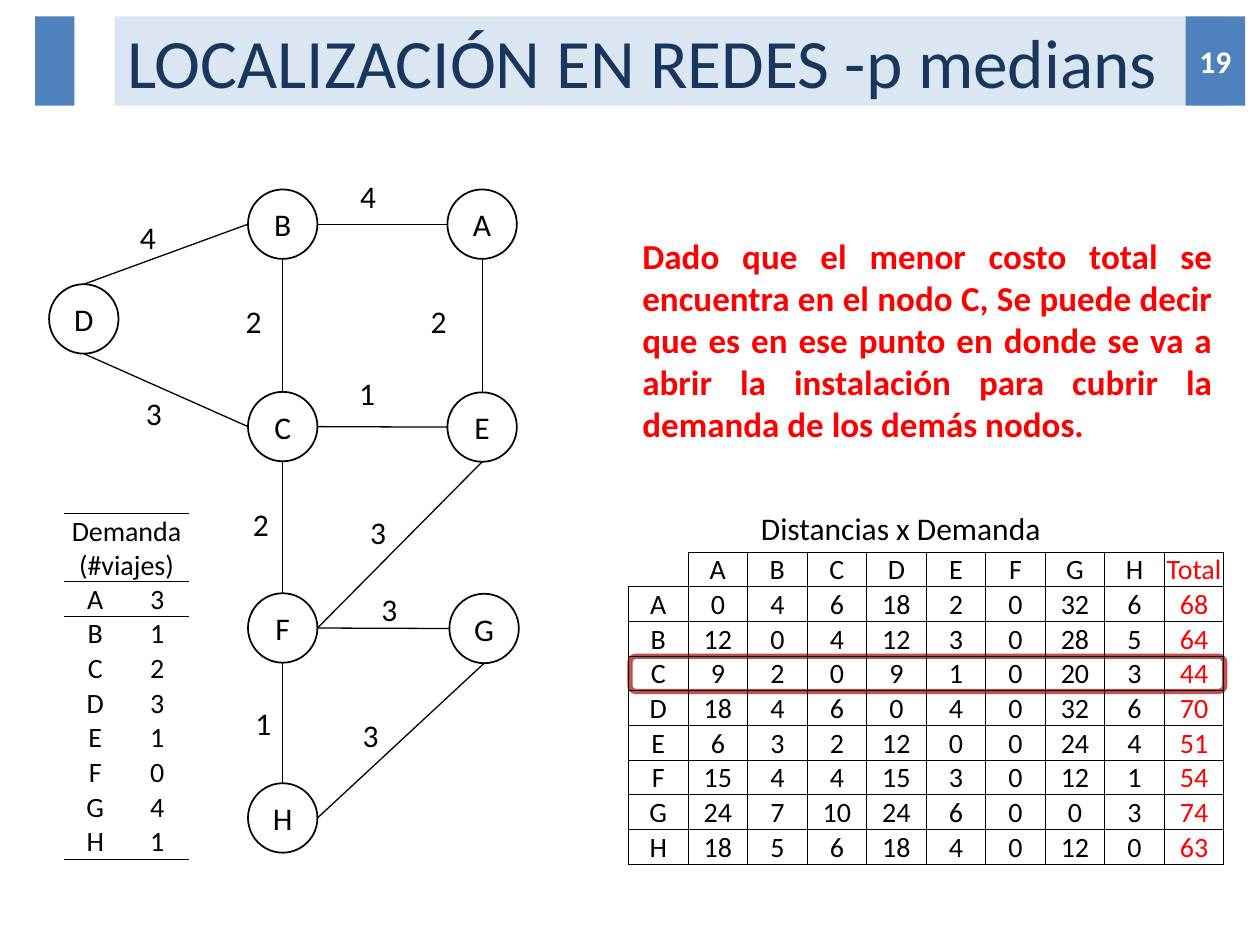
from lxml import etree
from pptx import Presentation
from pptx.dml.color import RGBColor
from pptx.enum.shapes import MSO_CONNECTOR, MSO_SHAPE
from pptx.enum.text import MSO_ANCHOR, PP_ALIGN
from pptx.oxml.ns import qn
from pptx.util import Cm, Pt

RECT, ROUND, OVAL = MSO_SHAPE.RECTANGLE, MSO_SHAPE.ROUNDED_RECTANGLE, MSO_SHAPE.OVAL
LINE = MSO_CONNECTOR.STRAIGHT
LEFT, MID, JUST = PP_ALIGN.LEFT, PP_ALIGN.CENTER, PP_ALIGN.JUSTIFY
TOP, HALF, LOW = MSO_ANCHOR.TOP, MSO_ANCHOR.MIDDLE, MSO_ANCHOR.BOTTOM
PLAIN = "{2D5ABB26-0587-4C30-8999-92F81FD0307C}"  # table style without grid
COLORS = {"ink": "000000", "red": "FF0000", "white": "FFFFFF", "blue": "4F81BD",
          "pale": "DCE6F2", "navy": "17375E", "brick": "C0504D"}

# Network: node centres, edges with their end sides, weight and label place
SIZE = 1.4
NODES = {"D": (1.69, 6.43), "C": (5.7, 8.6), "F": (5.7, 12.66), "H": (5.7, 16.49),
         "B": (5.7, 4.52), "A": (9.72, 4.52), "E": (9.72, 8.61), "G": (9.76, 12.67)}
SIDES = {"top": (0, -1), "low": (0, 1), "left": (-1, 0), "right": (1, 0)}
EDGES = [
    ("D", "top", "B", "left", "4", 2.57, 4.27),
    ("D", "low", "C", "left", "3", 2.69, 7.82),
    ("B", "right", "A", "left", "4", 7.01, 3.45),
    ("B", "low", "C", "top", "2", 4.7, 5.97),
    ("C", "right", "E", "left", "1", 6.99, 7.42),
    ("C", "low", "F", "top", "2", 4.85, 10.06),
    ("A", "low", "E", "top", "2", 8.43, 5.97),
    ("F", "right", "E", "low", "3", 7.21, 10.21),
    ("F", "right", "G", "left", "3", 7.44, 11.76),
    ("F", "low", "H", "top", "1", 4.9, 14.07),
    ("H", "right", "G", "low", "3", 7.06, 14.3),
]

# Table values
NAMES = "ABCDEFGH"
DEMAND = [3, 1, 2, 3, 1, 0, 4, 1]
COSTS = [
    [0, 4, 6, 18, 2, 0, 32, 6, 68],
    [12, 0, 4, 12, 3, 0, 28, 5, 64],
    [9, 2, 0, 9, 1, 0, 20, 3, 44],
    [18, 4, 6, 0, 4, 0, 32, 6, 70],
    [6, 3, 2, 12, 0, 0, 24, 4, 51],
    [15, 4, 4, 15, 3, 0, 12, 1, 54],
    [24, 7, 10, 24, 6, 0, 0, 3, 74],
    [18, 5, 6, 18, 4, 0, 12, 0, 63],
]


class Page:
    font = "Calibri"

    def __init__(self, slide):
        self.slide = slide
        self.shapes = slide.shapes

    def rgb(self, name):
        return RGBColor.from_string(COLORS[name])

    def add_run(self, frame, text, size=18, color="ink", bold=False, align=LEFT):
        para = frame.paragraphs[0]
        para.alignment = align
        run = para.add_run()
        run.text = text
        font = run.font
        font.name, font.size, font.bold = self.font, Pt(size), bold
        font.color.rgb = self.rgb(color)

    def paint(self, shape, fill):
        if fill:
            shape.fill.solid()
            shape.fill.fore_color.rgb = self.rgb(fill)
        else:
            shape.fill.background()

    def title(self, text, x, y, w, h):
        shape = self.shapes.title
        shape.left, shape.top, shape.width, shape.height = map(Cm, (x, y, w, h))
        self.paint(shape, "pale")
        shape.text_frame.vertical_anchor = HALF
        self.add_run(shape.text_frame, text, 39.6, "navy")

    def shape(self, kind, x, y, w, h, fill=None, line=None, width=1):
        shape = self.shapes.add_shape(kind, *map(Cm, (x, y, w, h)))
        shape.shadow.inherit = False
        self.paint(shape, fill)
        if line:
            shape.line.color.rgb = self.rgb(line)
            shape.line.width = Pt(width)
        else:
            shape.line.fill.background()
        return shape

    def badge(self, text, *place, color="ink", bold=False, **style):
        frame = self.shape(*place, **style).text_frame
        frame.vertical_anchor = HALF
        frame.margin_left = frame.margin_right = 0
        self.add_run(frame, text, color=color, bold=bold, align=MID)

    def text(self, text, x, y, w, h, fill=None, **style):
        box = self.shapes.add_textbox(*map(Cm, (x, y, w, h)))
        self.paint(box, fill)
        box.text_frame.word_wrap = True
        box.text_frame.vertical_anchor = TOP
        self.add_run(box.text_frame, text, **style)

    def line(self, start, end):
        line = self.shapes.add_connector(LINE, *map(Cm, start + end))
        line.line.color.rgb = self.rgb("ink")
        line.line.width = Pt(0.75)
        etree.SubElement(line._element.spPr, qn("a:effectLst"))

    def table(self, x, y, cols, rows):
        frame = self.shapes.add_table(len(rows), len(cols), Cm(x), Cm(y),
                                      Cm(sum(cols)), Cm(sum(rows)))
        grid = frame.table
        grid._tbl.tblPr.find(qn("a:tableStyleId")).text = PLAIN
        grid.first_row = grid.horz_banding = False
        for col, size in zip(grid.columns, cols):
            col.width = Cm(size)
        for row, size in zip(grid.rows, rows):
            row.height = Cm(size)
        return grid

    def cell(self, cell, text, edges="", color="ink", anchor=HALF):
        cell.margin_left = cell.margin_right = cell.margin_top = Cm(0.02)
        cell.margin_bottom = 0
        cell.vertical_anchor = anchor
        props = cell._tc.get_or_add_tcPr()
        for side in "LRTB":
            if side in edges:
                line = etree.SubElement(props, qn("a:ln" + side), w=str(Pt(0.5)))
                fill = etree.SubElement(line, qn("a:solidFill"))
                etree.SubElement(fill, qn("a:srgbClr"), val=COLORS["ink"])
        cell.fill.background()
        if text:
            self.add_run(cell.text_frame, text, 16, color, align=MID)
        else:
            end = cell.text_frame.paragraphs[0]._p.get_or_add_endParaRPr()
            end.set("sz", "1600")


def side(node, name):
    (x, y), (dx, dy) = NODES[node], SIDES[name]
    return x + dx * SIZE / 2, y + dy * SIZE / 2


def main():
    deck = Presentation()
    deck.slide_width, deck.slide_height = Cm(25.4), Cm(19.05)
    page = Page(deck.slides.add_slide(deck.slide_layouts[5]))

    # Header
    page.title("LOCALIZACIÓN EN REDES -p medians", 2.31, 0.33, 22.4, 1.8)
    page.shape(RECT, 0.71, 0.33, 0.79, 1.8, fill="blue")
    page.badge("19", RECT, 23.9, 0.33, 1.2, 1.8, fill="blue", color="white", bold=True)

    # Network
    for name, (x, y) in NODES.items():
        page.badge(name, OVAL, x - SIZE / 2, y - SIZE / 2, SIZE, SIZE, line="ink")
    for a, out, b, into, cost, x, y in EDGES:
        page.line(side(a, out), side(b, into))
        page.text(cost, x, y, 1.12, 1.02)

    # Cost table over the marked row
    page.shape(ROUND, 12.7, 13.23, 11.99, 0.71, fill="white", line="brick", width=3)
    grid = page.table(12.67, 11.13, [1.2] * 10, [0.7] * 9)
    rows = [["", *NAMES, "Total"]] + [[n, *c] for n, c in zip(NAMES, COSTS)]
    for i, row in enumerate(rows):
        for j, value in enumerate(row):
            page.cell(grid.cell(i, j), str(value), "LRTB" if i or j else "RB",
                      "red" if j == 9 else "ink")
    page.text("Distancias x Demanda", 15.09, 10.13, 8, 1.02)

    # Conclusion
    page.text("Dado que el menor costo total se encuentra en el nodo C, Se puede decir "
              "que es en ese punto en donde se va a abrir la instalación para cubrir la "
              "demanda de los demás nodos.", 12.7, 4.6, 11.99, 4.52, fill="white",
              size=20, color="red", bold=True, align=JUST)

    # Demand table
    grid = page.table(1.3, 10.35, [1.24, 1.26], [1.37] + [0.7] * 8)
    grid.cell(0, 0).merge(grid.cell(0, 1))
    page.cell(grid.cell(0, 0), "Demanda (#viajes)", "TB", anchor=LOW)
    page.cell(grid.cell(0, 1), "", "TB", anchor=LOW)
    for i, pair in enumerate(zip(NAMES, DEMAND), 1):
        edges = {1: "T", len(NAMES): "B"}.get(i, "")
        for j, value in enumerate(pair):
            page.cell(grid.cell(i, j), str(value), edges, anchor=LOW)

    deck.save("out.pptx")


if __name__ == "__main__":
    main()
